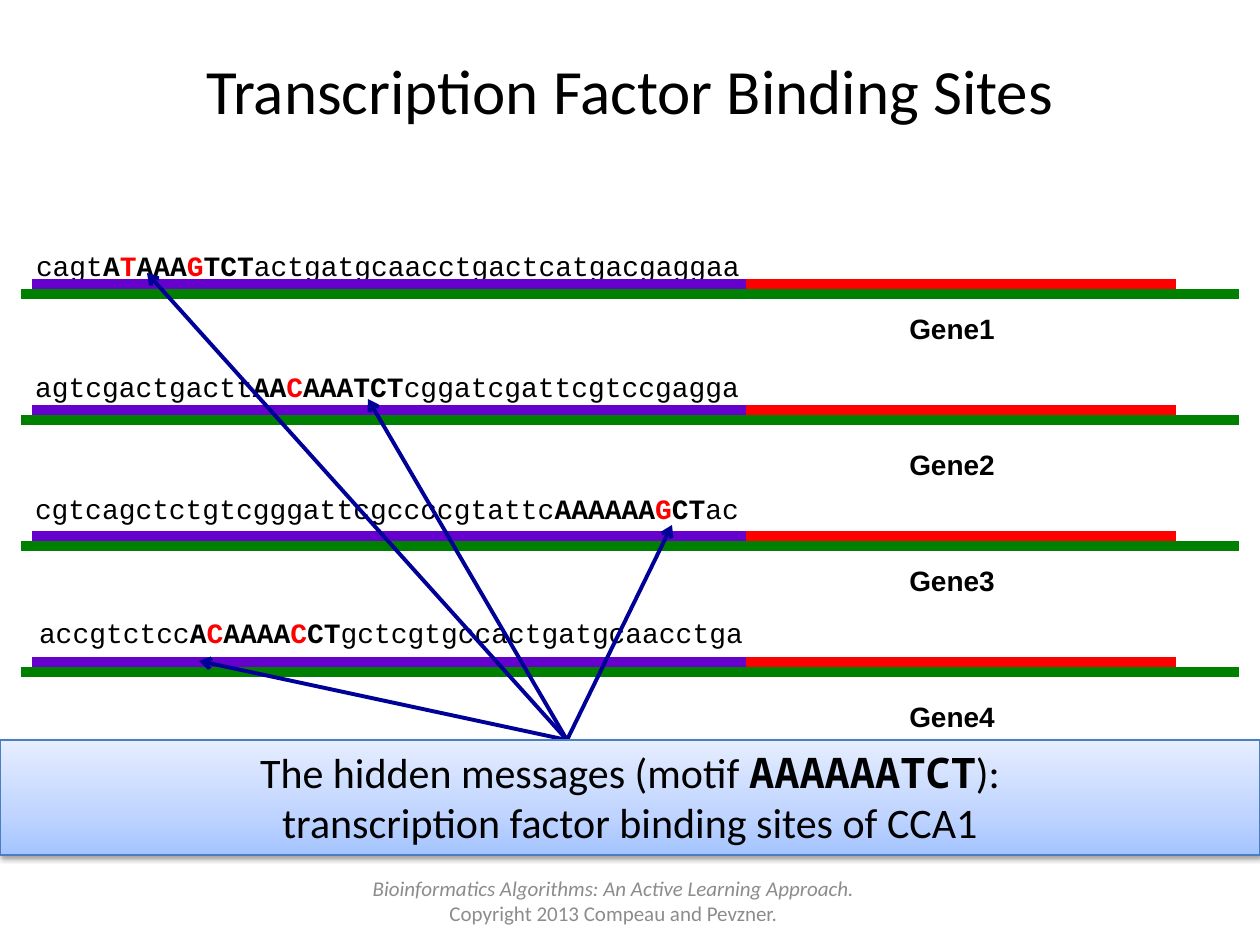
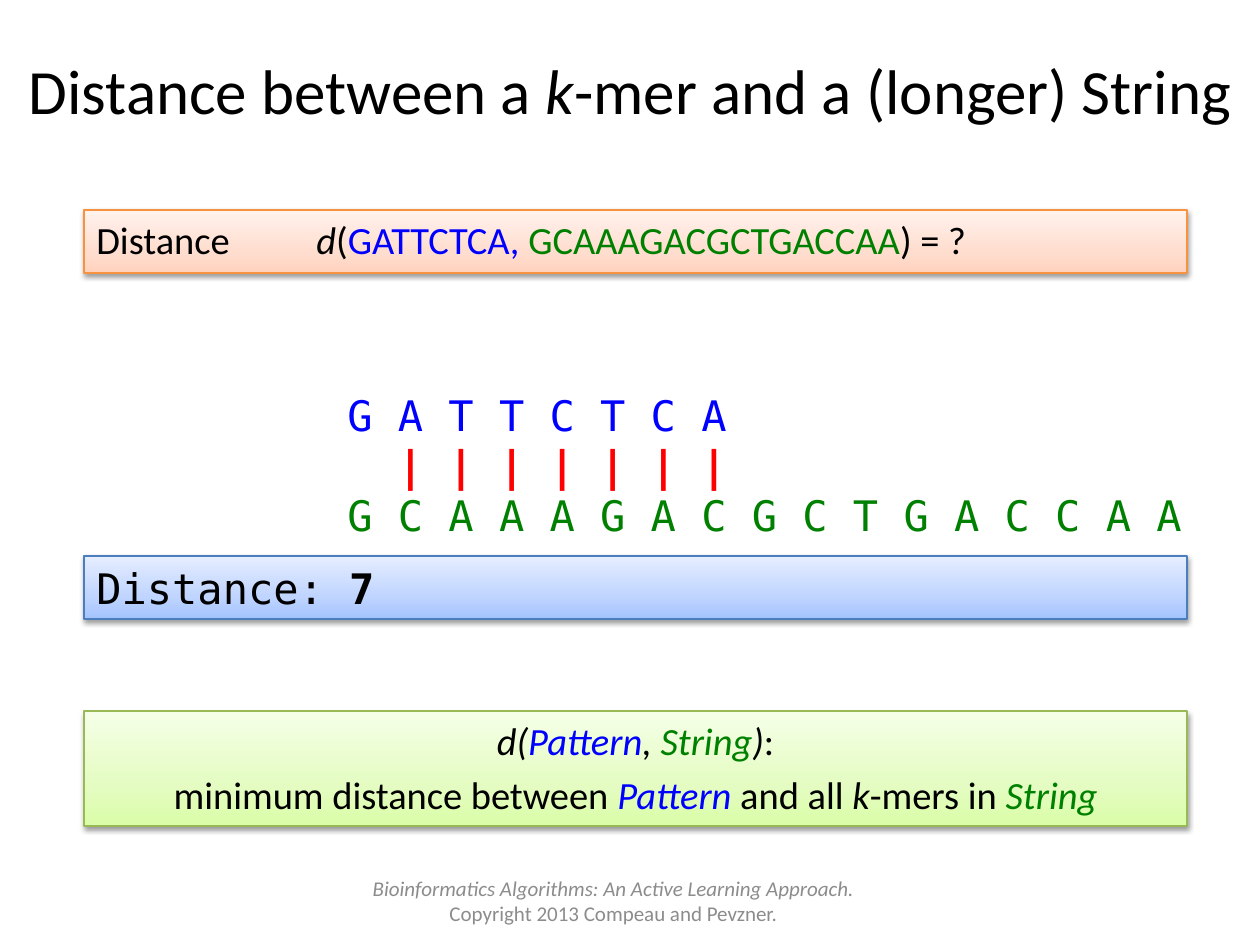
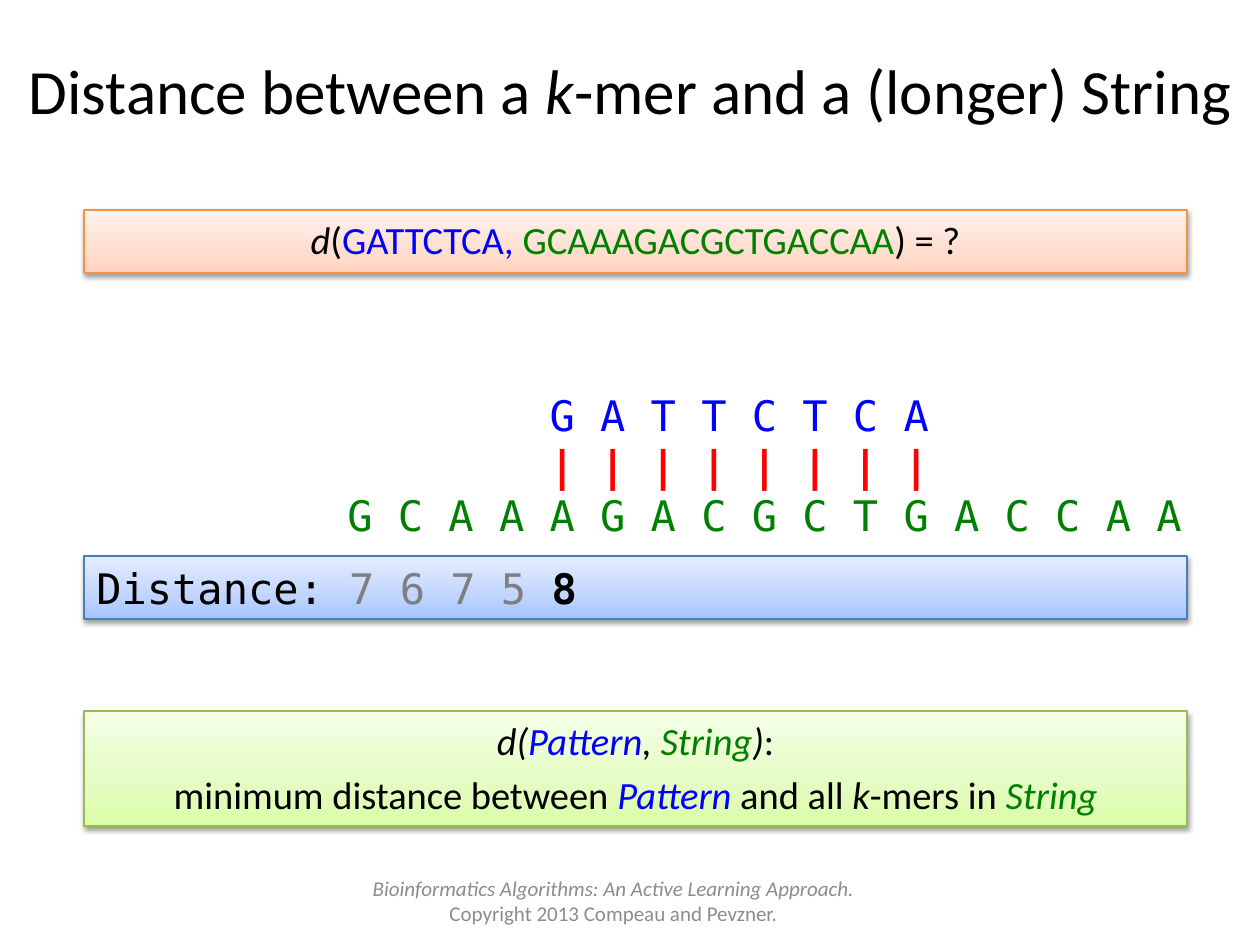
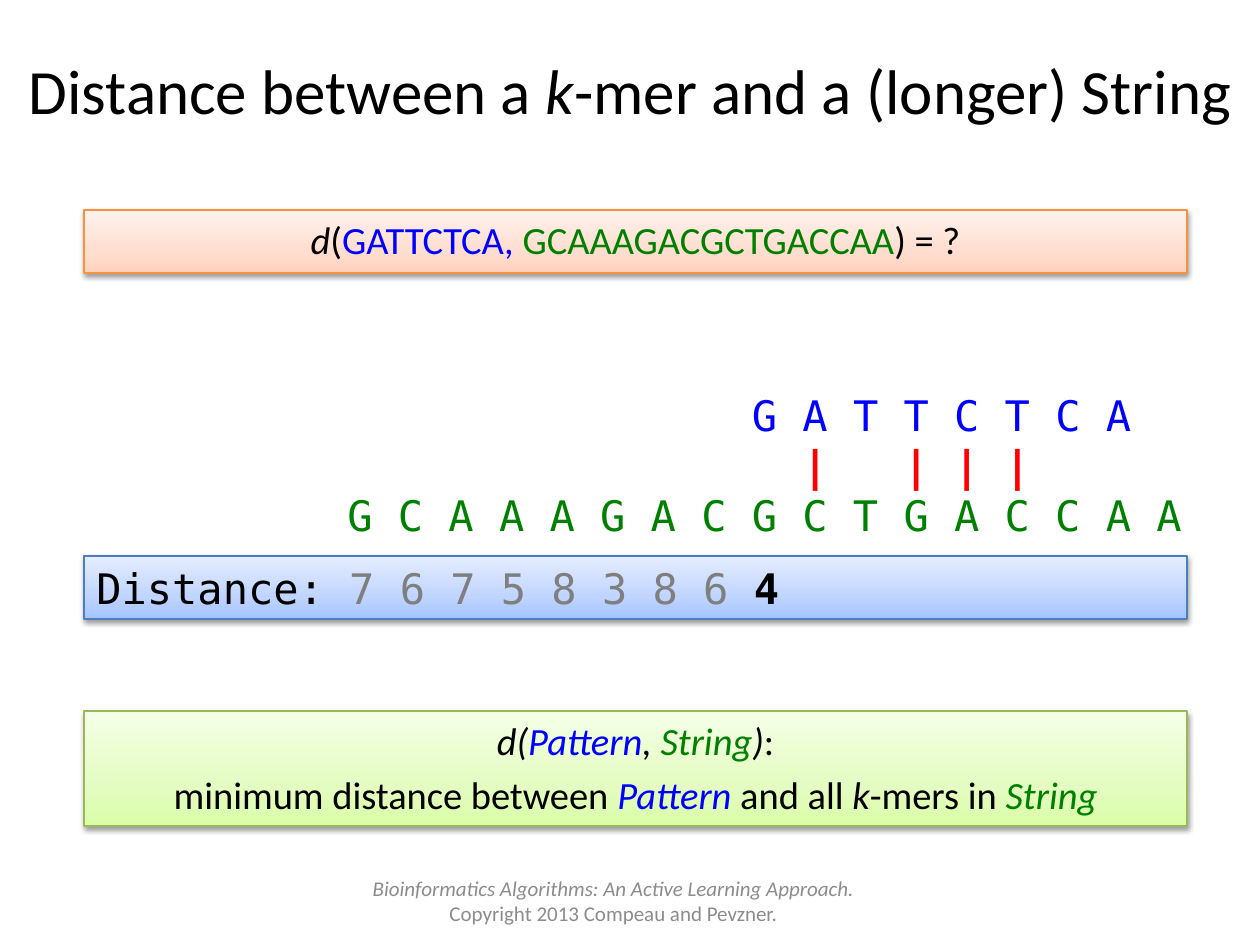
import itertools

import lxml.etree
import pptx
import pptx.dml.color
import pptx.enum.dml
import pptx.enum.shapes
import pptx.enum.text
import pptx.oxml.ns
import pptx.util

EMU_PER_PX = 914400 / 126
SLIDE_WIDTH, SLIDE_HEIGHT = 1260, 945
COLUMN_POINTS = 28.9
ROW_STEP = 126

COLORS = {
    "black": "000000",
    "red": "FF0000",
    "blue": "0000FF",
    "green": "008000",
    "purple": "6600CC",
    "navy": "000099",
    "past": "7F7F7F",
    "footer": "8C8C8C",
}
PANELS = {
    "orange": {"line": "F69240", "stops": {0: "FFD2BD", 35: "FFDED0", 100: "FFF2ED"}},
    "blue": {"line": "4B7EBC", "stops": {0: "A4C4FF", 35: "BFD4FF", 100: "E6EEFF"}},
    "green": {"line": "98B955", "stops": {0: "DAFDA7", 35: "E4FCC2", 100: "F5FFE7"}},
}

TITLE = {"name": "Calibri", "size": 36, "color": "black"}
BODY = {"name": "Calibri", "size": 22, "color": "black"}
BANNER = {"name": "Calibri", "size": 24, "color": "black"}
LETTERS = {"name": "DejaVu Sans Mono", "size": 24, "color": "black"}
SEQUENCE = {"name": "Courier New", "size": 16, "color": "black"}
GENE = {"name": "Arial", "size": 16, "color": "black", "bold": True}
FOOTER = {"name": "Calibri", "size": 12, "color": "footer"}
ITALIC = {"italic": True}
BOLD = {"bold": True}

LEFT = pptx.enum.text.PP_ALIGN.LEFT
CENTER = pptx.enum.text.PP_ALIGN.CENTER
TOP = pptx.enum.text.MSO_ANCHOR.TOP
MIDDLE = pptx.enum.text.MSO_ANCHOR.MIDDLE

MOTIF = "AAAAAATCT"
GENE_ROWS = [
    ("cagtATAAAGTCTactgatgcaacctgactcatgacgaggaa", 20, 242, 305),
    ("agtcgactgacttAACAAATCTcggatcgattcgtccgagga", 19, 363, 441),
    ("cgtcagctctgtcgggattcgccccgtattcAAAAAAGCTac", 19, 485, 557),
    ("accgtctccACAAAACCTgctcgtgccactgatgcaacctga", 23, 609, 693),
]
ARROW_START = (567, 740)
ARROW_ENDS = [(199, 661), (147, 273), (368, 399), (672, 525)]

PATTERN = "GATTCTCA"
STRING = "GCAAAGACGCTGACCAA"
PANEL_LEFT, PANEL_WIDTH = 84, 1103


def px(length):
    return pptx.util.Emu(round(length * EMU_PER_PX))


def rgb(value):
    return pptx.dml.color.RGBColor.from_string(value)


def add_element(parent, tag, **attributes):
    values = {name: str(value) for name, value in attributes.items()}
    return lxml.etree.SubElement(parent, pptx.oxml.ns.qn(tag), values)


def format_font(font, style):
    values = {"bold": False, "italic": False, **style}
    values["size"] = pptx.util.Pt(values["size"])
    font.color.rgb = rgb(COLORS[values.pop("color")])
    for name, value in values.items():
        setattr(font, name, value)


def write_text(shape, paragraphs, style, align=LEFT, anchor=TOP, wrap=True, gap=0):
    frame = shape.text_frame
    frame.word_wrap = wrap
    frame.vertical_anchor = anchor
    for index, runs in enumerate(paragraphs):
        paragraph = frame.add_paragraph() if index else frame.paragraphs[0]
        paragraph.alignment = align
        if index and gap:
            paragraph.space_before = pptx.util.Pt(gap)
        for text, changes in runs:
            run = paragraph.add_run()
            run.text = text
            format_font(run.font, {**style, **changes})
    return frame


def set_tabs(paragraph, positions):
    tab_list = add_element(paragraph._p.get_or_add_pPr(), "a:tabLst")
    for position in positions:
        add_element(tab_list, "a:tab", pos=int(position), algn="l")


def add_title(slide, runs, left=0):
    title = slide.shapes.title
    box = {"left": left, "top": 10, "width": SLIDE_WIDTH - 2 * left, "height": 158}
    for name, value in box.items():
        setattr(title, name, px(value))
    write_text(title, [runs], TITLE, CENTER, MIDDLE)


def add_text(slide, left, top, width, height, paragraphs, style, **options):
    box = slide.shapes.add_textbox(px(left), px(top), px(width), px(height))
    return write_text(box, paragraphs, style, **options)


def add_footer(slide):
    lines = [
        [("Bioinformatics Algorithms: An Active Learning Approach.", ITALIC)],
        [("Copyright 2013 Compeau and Pevzner.", {})],
    ]
    add_text(slide, 325, 876, 577, 50, lines, FOOTER, align=CENTER, anchor=MIDDLE)


def add_panel(slide, left, top, width, height, look, paragraphs, style, **options):
    panel = slide.shapes.add_shape(
        pptx.enum.shapes.MSO_SHAPE.RECTANGLE, px(left), px(top), px(width), px(height)
    )
    panel.fill.gradient()
    panel.fill.gradient_angle = 90
    properties = panel._element.spPr
    stops = properties.find(".//" + pptx.oxml.ns.qn("a:gsLst"))
    stops.clear()
    for position, color in PANELS[look]["stops"].items():
        stop = add_element(stops, "a:gs", pos=position * 1000)
        add_element(stop, "a:srgbClr", val=color)
    panel.line.color.rgb = rgb(PANELS[look]["line"])
    panel.line.width = pptx.util.Pt(0.75)
    panel.shadow.inherit = False
    effects = properties.find(pptx.oxml.ns.qn("a:effectLst"))
    shadow = add_element(
        effects, "a:outerShdw", blurRad=40000, dist=20000, dir=5400000, rotWithShape=0
    )
    add_element(add_element(shadow, "a:srgbClr", val="000000"), "a:alpha", val=38000)
    return write_text(panel, paragraphs, style, **options)


def add_line(slide, start, end, color, width, arrow=False):
    line = slide.shapes.add_connector(
        pptx.enum.shapes.MSO_CONNECTOR.STRAIGHT, *map(px, start + end)
    )
    line.line.color.rgb = rgb(COLORS[color])
    line.line.width = pptx.util.Pt(width)
    if arrow:
        add_element(line.line._get_or_add_ln(), "a:tailEnd", type="arrow")
    add_element(line._element.spPr, "a:effectLst")


def sequence_runs(sequence):
    start = next(i for i, letter in enumerate(sequence) if letter.isupper())

    def look(position):
        site = sequence[position].isupper()
        return site, site and sequence[position] != MOTIF[position - start]

    runs = []
    for (site, changed), group in itertools.groupby(range(len(sequence)), look):
        text = "".join(sequence[position] for position in group)
        runs.append((text, {"bold": site, "color": "red" if changed else "black"}))
    return runs


def mismatches(offset):
    return [
        offset + i for i, letter in enumerate(PATTERN) if letter != STRING[offset + i]
    ]


def add_alignment(slide, offset):
    columns = mismatches(offset)
    starts = [column for column in columns if column - 1 not in columns]
    bars = "".join(
        ("\t" if column in starts else " ") + "|" for column in columns
    )
    pattern = ("\t" if offset else "") + " ".join(PATTERN)
    frame = add_text(
        slide, 335, 383, 868, 165,
        [
            [(pattern, {"color": "blue"})],
            [(bars, {"color": "red", "bold": True})],
            [(" ".join(STRING), {"color": "green"})],
        ],
        LETTERS,
    )
    for paragraph, stops in zip(frame.paragraphs, ([offset] if offset else [], starts)):
        if stops:
            set_tabs(paragraph, [pptx.util.Pt(COLUMN_POINTS * stop) for stop in stops])


def new_slide(presentation):
    return presentation.slides.add_slide(presentation.slide_layouts[5])


def build_binding_sites(presentation):
    slide = new_slide(presentation)
    add_title(slide, [("Transcription Factor Binding Sites", {})], left=63)
    for index, (sequence, left, top, label_top) in enumerate(GENE_ROWS):
        add_text(
            slide, left, top, 736, 47, [sequence_runs(sequence)], SEQUENCE, align=CENTER
        )
        add_text(
            slide, 897, label_top, 112, 47, [[(f"Gene{index + 1}", {})]], GENE, wrap=False
        )
        region = 284 + index * ROW_STEP
        strand = region + 10
        add_line(slide, (746, region), (1176, region), "red", 6)
        add_line(slide, (32, region), (746, region), "purple", 6)
        add_line(slide, (21, strand), (1239, strand), "green", 6)
    for end in ARROW_ENDS:
        add_line(slide, ARROW_START, end, "navy", 2.25, arrow=True)
    message = [
        [
            ("The hidden messages (motif ", {}),
            (MOTIF, {"name": "Noto Sans Mono", "bold": True}),
            ("):", {}),
        ],
        [("transcription factor binding sites of CCA1", {})],
    ]
    add_panel(slide, 0, 740, SLIDE_WIDTH, 115, "blue", message, BANNER, align=CENTER)
    add_footer(slide)


def build_distance(presentation, offset, labelled=False):
    slide = new_slide(presentation)
    add_title(
        slide,
        [("Distance between a ", {}), ("k", ITALIC), ("-mer and a (longer) String", {})],
    )
    question = [
        ("d", ITALIC),
        ("(", {}),
        (PATTERN + ", ", {"color": "blue"}),
        (STRING, {"color": "green"}),
        (") = ?", {}),
    ]
    if labelled:
        question.insert(0, ("Distance\t", {}))
    frame = add_panel(
        slide, PANEL_LEFT, 210, PANEL_WIDTH, 63, "orange", [question], BODY,
        align=LEFT if labelled else CENTER,
    )
    if labelled:
        set_tabs(frame.paragraphs[0], [px(220)])

    add_alignment(slide, offset)

    *past, current = [str(len(mismatches(i))) for i in range(offset + 1)]
    distances = [("Distance: ", {})]
    if past:
        distances.append((" ".join(past) + " ", {"color": "past"}))
    distances.append((current, BOLD))
    add_panel(slide, PANEL_LEFT, 556, PANEL_WIDTH, 63, "blue", [distances], LETTERS)

    pattern = {"color": "blue", **ITALIC}
    string = {"color": "green", **ITALIC}
    definition = [
        [
            ("d(", ITALIC), ("Pattern", pattern), (", ", ITALIC),
            ("String", string), (")", ITALIC), (":", {}),
        ],
        [
            ("minimum distance between ", {}), ("Pattern ", pattern), ("and all ", {}),
            ("k", ITALIC), ("-mers in ", {}), ("String", string),
        ],
    ]
    add_panel(
        slide, PANEL_LEFT, 711, PANEL_WIDTH, 115, "green", definition, BODY,
        align=CENTER, gap=4.4,
    )
    add_footer(slide)


def main():
    presentation = pptx.Presentation()
    presentation.slide_width = px(SLIDE_WIDTH)
    presentation.slide_height = px(SLIDE_HEIGHT)
    build_binding_sites(presentation)
    build_distance(presentation, 0, labelled=True)
    build_distance(presentation, 4)
    build_distance(presentation, 8)
    presentation.save("out.pptx")


if __name__ == "__main__":
    main()
